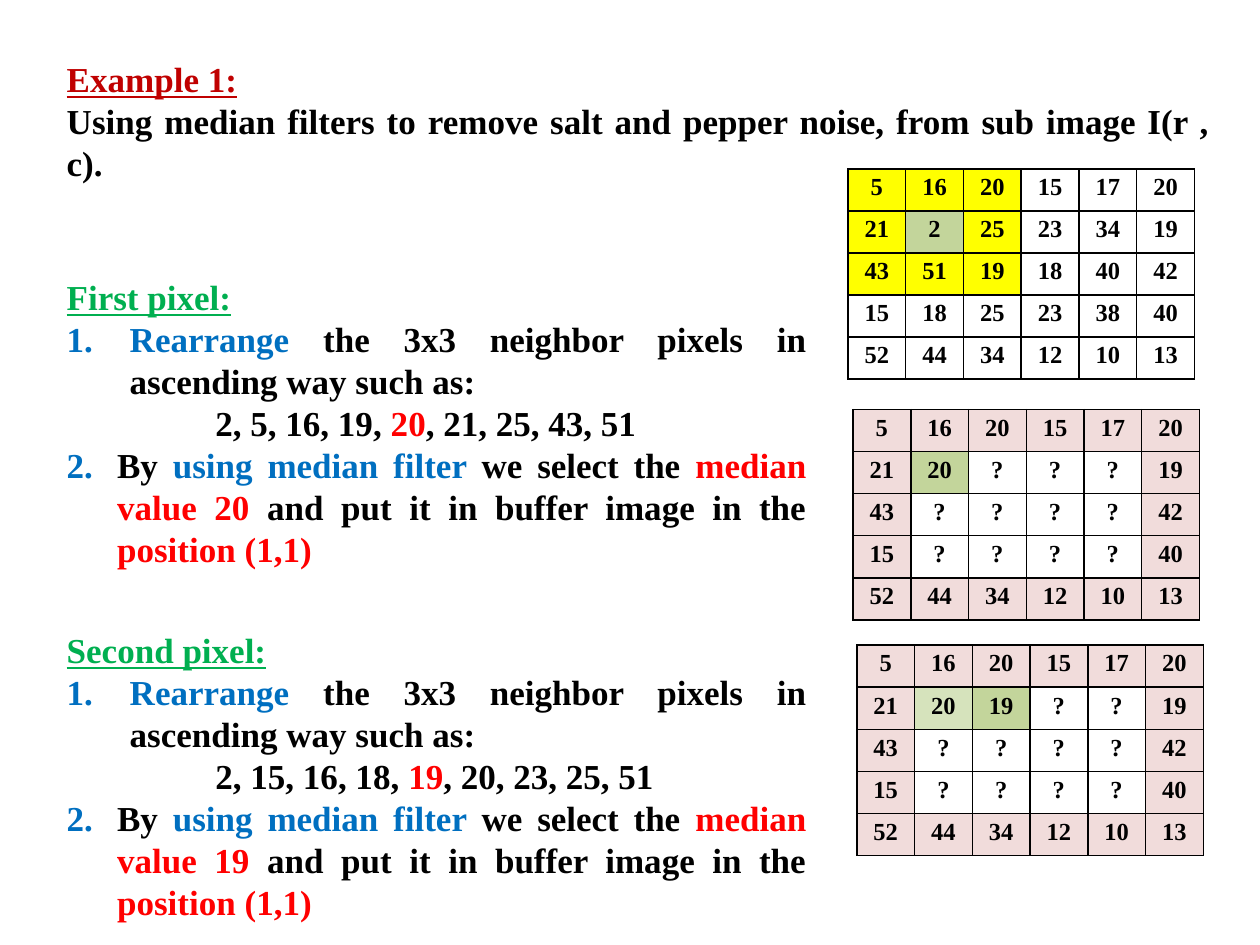
import pptx
import pptx.util
import pptx.dml.color
import pptx.enum.text
import pptx.oxml
import pptx.oxml.ns
from lxml import etree

Inches = pptx.util.Inches
Pt = pptx.util.Pt
ALIGN = pptx.enum.text.PP_ALIGN

FONT = "Times New Roman"
BLACK, DARK_RED, RED = "000000", "C00000", "FF0000"
GREEN, BLUE = "00AF50", "006FC0"
YELLOW, PINK, OLIVE, PALE_OLIVE = "FFFF00", "F1DCDB", "C3D59B", "D6E3BC"

SUB_IMAGE = ["5 16 20 15 17 20", "21 2 25 23 34 19", "43 51 19 18 40 42",
             "15 18 25 23 38 40", "52 44 34 12 10 13"]
FIRST_BUFFER = ["5 16 20 15 17 20", "21 20 ? ? ? 19", "43 ? ? ? ? 42",
                "15 ? ? ? ? 40", "52 44 34 12 10 13"]
SECOND_BUFFER = ["5 16 20 15 17 20", "21 20 19 ? ? 19", "43 ? ? ? ? 42",
                 "15 ? ? ? ? 40", "52 44 34 12 10 13"]


def color(hex_string):
    return pptx.dml.color.RGBColor.from_string(hex_string)


def sub_element(parent, tag, **attributes):
    element = etree.SubElement(parent, pptx.oxml.ns.qn(tag))
    for key, value in attributes.items():
        element.set(key, str(value))
    return element


def style(paragraph, size, align):
    paragraph.alignment = align
    paragraph.font.name = FONT
    paragraph.font.size = Pt(size)
    paragraph.font.bold = True


def set_indent(paragraph, left, hanging=0, number=None):
    """Indent a paragraph; a number makes it a blue numbered item."""
    properties = paragraph._p.get_or_add_pPr()
    properties.set("marL", str(Inches(left)))
    properties.set("indent", str(-Inches(hanging)))
    if number:
        bullet_color = sub_element(properties, "a:buClr")
        sub_element(bullet_color, "a:srgbClr", val=BLUE)
        sub_element(properties, "a:buFont", typeface=FONT)
        sub_element(properties, "a:buAutoNum", type="arabicPeriod", startAt=number)


def add_text(slide, left, top, width, height, paragraphs):
    """Each paragraph is (runs, indent arguments); a run is (text, colour, underline)."""
    frame = slide.shapes.add_textbox(
        Inches(left), Inches(top), Inches(width), Inches(height)).text_frame
    frame.word_wrap = True
    frame.margin_left = frame.margin_right = frame.margin_bottom = 0
    frame.margin_top = Inches(0.01)
    for index, (runs, indent) in enumerate(paragraphs):
        paragraph = frame.add_paragraph() if index else frame.paragraphs[0]
        paragraph.line_spacing = Pt(24)
        set_indent(paragraph, **indent)
        style(paragraph, 20, ALIGN.JUSTIFY)
        for text, run_color, *underline in runs:
            run = paragraph.add_run()
            run.text = text
            run.font.color.rgb = color(run_color)
            if underline:
                run.font.underline = True


def add_pixel_steps(slide, top, ordinal, before, median, after):
    flush = {"left": 0}
    add_text(slide, 0.53, top, 5.87, 2.34, [
        ([(f"{ordinal} pixel:", GREEN, True)], flush),
        ([("Rearrange ", BLUE),
          ("the 3x3 neighbor pixels in ascending way such as:", BLACK)],
         {"left": 0.5, "hanging": 0.5, "number": 1}),
        ([(before, BLACK), (median, RED), (after, BLACK)], {"left": 1.18}),
        ([("By ", BLACK), ("using median filter ", BLUE), ("we select the ", BLACK),
          (f"median value {median} ", RED),
          ("and put it in buffer image in the ", BLACK), ("position (1,1)", RED)],
         {"left": 0.4, "hanging": 0.4, "number": 2}),
    ])


def outline_cell(cell):
    properties = cell._tc.get_or_add_tcPr()
    for side in ("a:lnL", "a:lnR", "a:lnT", "a:lnB"):
        line = sub_element(properties, side, w=Pt(1))
        sub_element(sub_element(line, "a:solidFill"), "a:srgbClr", val=BLACK)


def add_pixel_grid(slide, left, top, pixels, fill_for):
    rows = [line.split() for line in pixels]
    width, height = Inches(2.75), Inches(1.67)
    table = slide.shapes.add_table(len(rows), len(rows[0]), Inches(left), Inches(top),
                                   width, height).table
    table.first_row = table.horz_banding = False
    for column in table.columns:
        column.width = width // len(rows[0])
    for r, values in enumerate(rows):
        table.rows[r].height = height // len(rows)
        for c, value in enumerate(values):
            cell = table.cell(r, c)
            cell.margin_left = cell.margin_right = cell.margin_bottom = 0
            cell.margin_top = Inches(0.04)
            outline_cell(cell)
            fill = fill_for(r, c)
            if fill:
                cell.fill.solid()
                cell.fill.fore_color.rgb = color(fill)
            else:
                cell.fill.background()
            paragraph = cell.text_frame.paragraphs[0]
            style(paragraph, 14, ALIGN.CENTER)
            paragraph.font.color.rgb = color(BLACK)
            paragraph.add_run().text = value


def window_fill(row, column):
    """Yellow 3x3 neighborhood around the current pixel."""
    if (row, column) == (1, 1):
        return OLIVE
    return YELLOW if row < 3 and column < 3 else None


def buffer_fill(computed):
    """Pink border, with the computed pixels marked."""
    def fill_for(row, column):
        border = row in (0, 4) or column in (0, 5)
        return PINK if border else computed.get((row, column))
    return fill_for


def main():
    presentation = pptx.Presentation()
    presentation.slide_width = Inches(10)
    presentation.slide_height = Inches(7.5)
    slide = presentation.slides.add_slide(presentation.slide_layouts[6])

    # Task
    add_text(slide, 0.53, 0.45, 9.07, 1.01, [
        ([("Example 1:", DARK_RED, True)], {"left": 0}),
        ([("Using median filters to remove salt and pepper noise, "
           "from sub image I(r , c).", BLACK)], {"left": 0}),
    ])

    # Worked steps
    add_pixel_steps(slide, 2.18, "First", "2, 5, 16, 19, ", "20", ", 21, 25, 43, 51")
    add_pixel_steps(slide, 4.98, "Second", "2, 15, 16, 18, ", "19", ", 20, 23, 25, 51")

    # Sub image and the buffer image after each step
    add_pixel_grid(slide, 6.73, 1.34, SUB_IMAGE, window_fill)
    add_pixel_grid(slide, 6.77, 3.25, FIRST_BUFFER, buffer_fill({(1, 1): OLIVE}))
    add_pixel_grid(slide, 6.8, 5.12, SECOND_BUFFER,
                   buffer_fill({(1, 1): PALE_OLIVE, (1, 2): OLIVE}))

    presentation.save("out.pptx")


if __name__ == "__main__":
    main()
